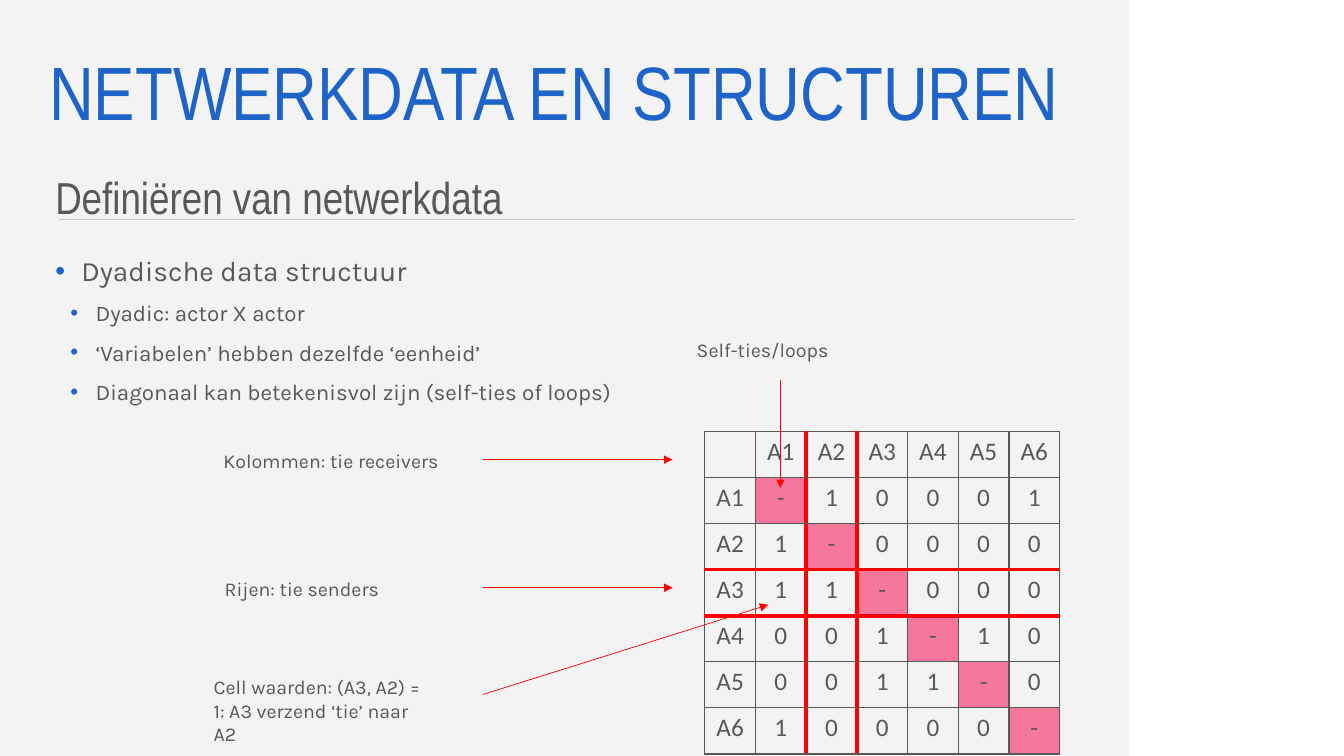
from dataclasses import dataclass

from lxml.etree import SubElement
from pptx import Presentation
from pptx.dml.color import RGBColor
from pptx.enum.shapes import MSO_CONNECTOR as Link, MSO_SHAPE as Form
from pptx.enum.text import MSO_ANCHOR as Anchor, PP_ALIGN as Align
from pptx.oxml.ns import qn
from pptx.util import Pt

PX = 9144  # 100 px to the inch
GREY, BLUE, RED, PINK = "585858", "1E64C8", "FF0000", "F5779B"


@dataclass
class Label:
    text: str
    x: int
    y: int
    w: int
    h: int
    size: int = 14
    font: str = "Karla"
    color: str = GREY
    align: Align = Align.LEFT
    anchor: Anchor = Anchor.TOP
    space: float = 1.0


@dataclass
class Rule:
    x1: int
    y1: int
    x2: int
    y2: int
    color: str = RED
    arrow: bool = True


@dataclass
class Point:
    text: str
    level: int
    size: int
    left: int
    hang: int
    gap: int


LABELS = [
    Label("NETWERKDATA EN STRUCTUREN", 39, 36, 1026, 119, 54, "Arial Narrow", BLUE,
          anchor=Anchor.MIDDLE, space=0.9),
    Label("Definiëren van netwerkdata", 45, 153, 1020, 71, 32, "Arial Narrow", space=1.2),
    Label("Kolommen: tie receivers", 210, 440, 237, 34, align=Align.CENTER),
    Label("Rijen: tie senders", 181, 567, 237, 34, align=Align.CENTER),
    Label("Cell waarden: (A3, A2) = 1: A3 verzend ‘tie’ naar A2", 202, 665, 237, 57),
    Label("Self-ties/loops", 638, 330, 237, 34, align=Align.CENTER),
]
POINTS = [
    Point("Dyadische data structuur", 0, 20, 26, 26, 0),
    Point("Dyadic: actor X actor", 1, 16, 40, 25, 5),
    Point("‘Variabelen’ hebben dezelfde ‘eenheid’", 1, 16, 40, 25, 5),
    Point("Diagonaal kan betekenisvol zijn (self-ties of loops)", 1, 16, 40, 25, 5),
]
ARROWS = [
    Rule(479, 456, 667, 456),
    Rule(479, 583, 667, 583),
    Rule(479, 689, 762, 600),
    Rule(774, 377, 774, 484),
]
TIES = ["-10001", "1-0000", "11-000", "001-10", "0011-0", "10000-"]
ACTORS = [f"A{n}" for n in range(1, len(TIES) + 1)]
GRID = [["", *ACTORS]] + [[name, *row] for name, row in zip(ACTORS, TIES)]
RED_COLS, RED_ROWS = (2, 3), (3, 4)  # grid lines, counted from the left and top edge


def paint(color: str) -> RGBColor:
    return RGBColor.from_string(color)


def style(item, values: dict) -> None:
    for key, value in values.items():
        setattr(item, key, value)


def write(para, text: str, size: int, font: str, color: str = GREY) -> None:
    para.text = text
    style(para.font, {"size": Pt(size), "name": font})
    para.font.color.rgb = paint(color)


def add_frame(slide, x: int, y: int, w: int, h: int):
    frame = slide.shapes.add_textbox(x * PX, y * PX, w * PX, h * PX).text_frame
    frame.word_wrap = True
    return frame


def add_label(slide, label: Label) -> None:
    frame = add_frame(slide, label.x, label.y, label.w, label.h)
    frame.vertical_anchor = label.anchor
    para = frame.paragraphs[0]
    style(para, {"alignment": label.align, "line_spacing": label.space})
    write(para, label.text, label.size, label.font, label.color)


def add_points(slide, points: list[Point]) -> None:
    frame = add_frame(slide, 45, 240, 1020, 488)
    for i, point in enumerate(points):
        para = frame.add_paragraph() if i else frame.paragraphs[0]
        props = para._p.get_or_add_pPr()
        props.set("marL", str(point.left * PX))
        props.set("indent", str(-point.hang * PX))
        SubElement(SubElement(props, qn("a:buClr")), qn("a:srgbClr"), val=BLUE)
        SubElement(props, qn("a:buFont"), typeface="Arial")
        SubElement(props, qn("a:buChar"), char="•")
        style(para, {"level": point.level, "line_spacing": 1.2, "space_before": Pt(point.gap)})
        write(para, point.text, point.size, "Karla")


def add_rule(slide, rule: Rule) -> None:
    ends = (n * PX for n in (rule.x1, rule.y1, rule.x2, rule.y2))
    line = slide.shapes.add_connector(Link.STRAIGHT, *ends)
    line.line.width = Pt(0.5)
    line.line.color.rgb = paint(rule.color)
    if rule.arrow:
        SubElement(line.line._get_or_add_ln(), qn("a:tailEnd"), type="triangle")
    SubElement(line._element.spPr, qn("a:effectLst"))


def add_edge(cell, side: str, strong: bool) -> None:
    width = Pt(3 if strong else 1)
    edge = SubElement(cell._tc.get_or_add_tcPr(), qn(f"a:ln{side}"), w=str(width))
    fill = SubElement(edge, qn("a:solidFill"))
    SubElement(fill, qn("a:srgbClr"), val=RED if strong else GREY)


def add_matrix(slide, grid: list[list[str]]) -> None:
    count = len(grid)
    table = slide.shapes.add_table(count, count, 699 * PX, 428 * PX, 352 * PX, 320 * PX).table
    style(table, {"first_row": False, "horz_banding": False})
    for r, row in enumerate(grid):
        for c, text in enumerate(row):
            cell = table.cell(r, c)
            para = cell.text_frame.paragraphs[0]
            para.alignment = Align.CENTER
            write(para, text, 18, "Calibri")
            add_edge(cell, "L", c in RED_COLS)
            add_edge(cell, "R", c + 1 in RED_COLS)
            add_edge(cell, "T", r in RED_ROWS)
            add_edge(cell, "B", r + 1 in RED_ROWS)
            if r == c > 0:
                cell.fill.solid()
                cell.fill.fore_color.rgb = paint(PINK)
            else:
                cell.fill.background()


def add_panel(slide) -> None:
    panel = slide.shapes.add_shape(Form.RECTANGLE, 0, 0, 1120 * PX, 750 * PX)
    panel.shadow.inherit = False
    panel.fill.solid()
    panel.fill.fore_color.rgb = paint("F3F3F3")
    panel.line.fill.background()


def main() -> None:
    deck = Presentation()
    style(deck, {"slide_width": 1333 * PX, "slide_height": 750 * PX})
    slide = deck.slides.add_slide(deck.slide_layouts[6])
    add_panel(slide)
    add_rule(slide, Rule(59, 218, 1066, 218, "C6C6C6", False))
    add_points(slide, POINTS)
    add_matrix(slide, GRID)
    for label in LABELS:
        add_label(slide, label)
    for arrow in ARROWS:
        add_rule(slide, arrow)
    deck.save("out.pptx")


if __name__ == "__main__":
    main()
